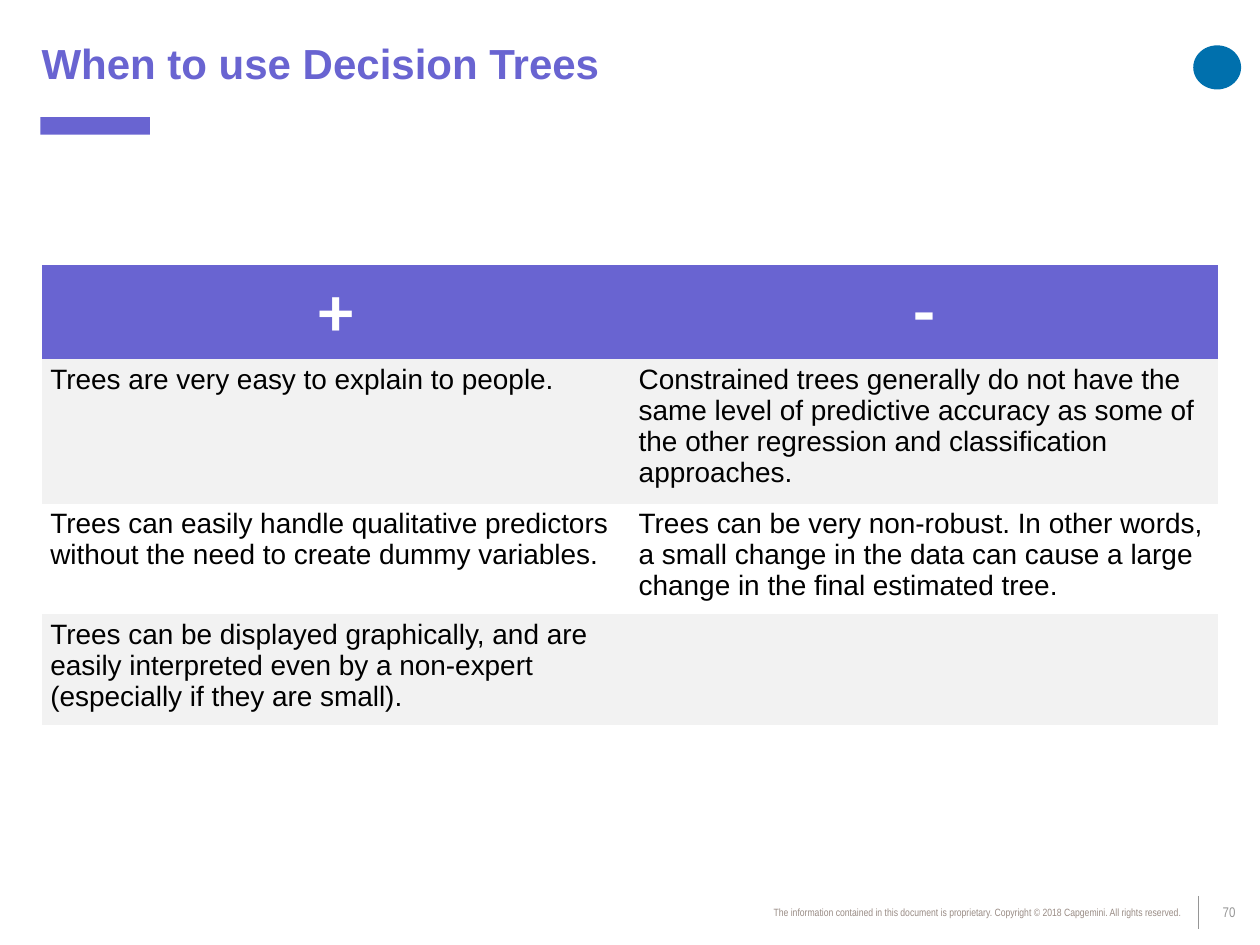
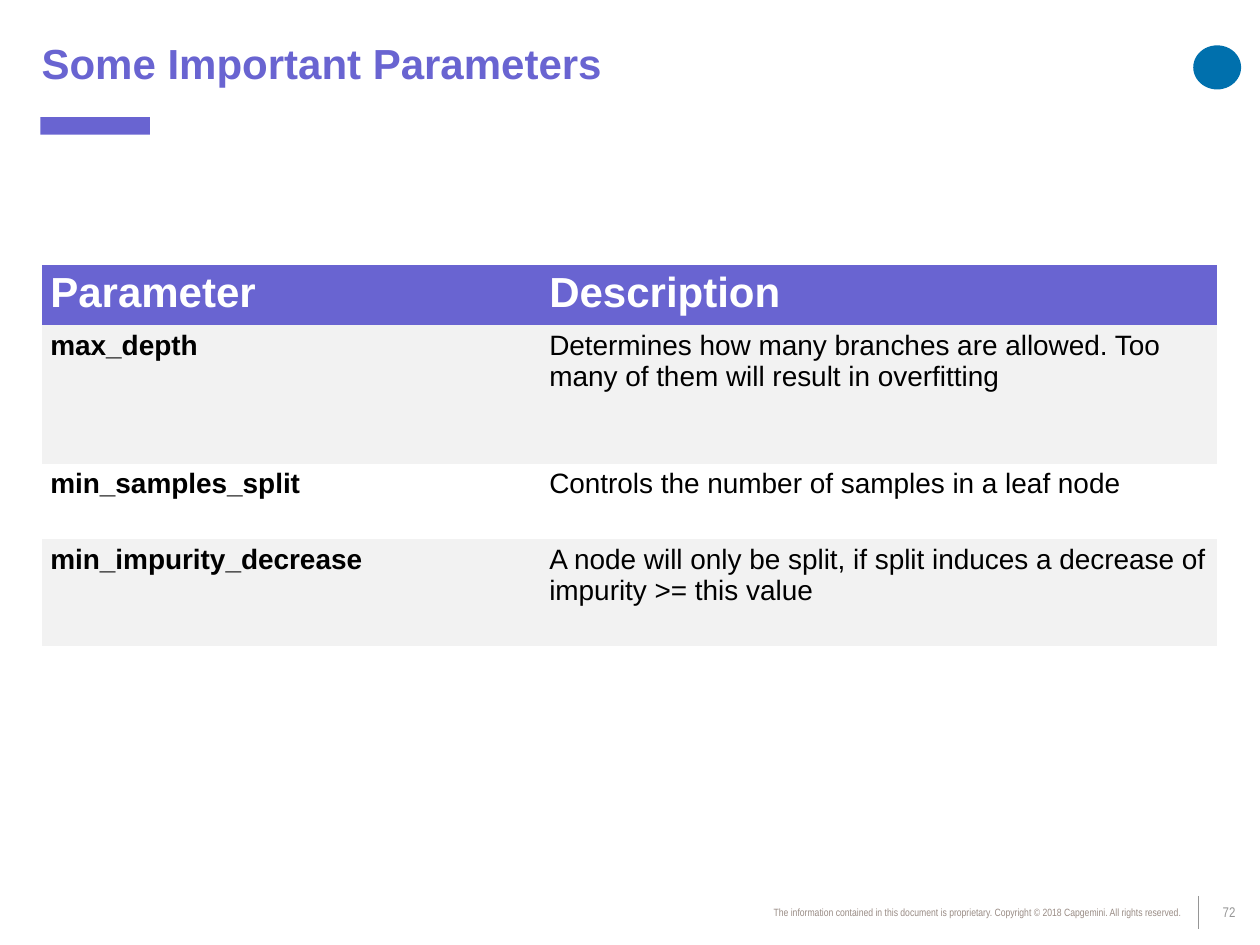
from dataclasses import dataclass

from lxml import etree
from pptx import Presentation
from pptx.dml.color import RGBColor
from pptx.enum.shapes import MSO_CONNECTOR, MSO_SHAPE
from pptx.enum.text import MSO_ANCHOR, PP_ALIGN
from pptx.oxml.ns import qn
from pptx.util import Inches, Pt

STRAIGHT = MSO_CONNECTOR.STRAIGHT
RECT, OVAL = MSO_SHAPE.RECTANGLE, MSO_SHAPE.OVAL
TOP, MIDDLE = MSO_ANCHOR.TOP, MSO_ANCHOR.MIDDLE
LEFT, CENTER, RIGHT = PP_ALIGN.LEFT, PP_ALIGN.CENTER, PP_ALIGN.RIGHT
PLAIN_TABLE = "{2D5ABB26-0587-4C30-8999-92F81FD0307C}"
COPYRIGHT = ("The information contained in this document\u00a0is proprietary. "
             "Copyright © 2018 Capgemini. All rights reserved.")


@dataclass(frozen=True)
class Theme:
    """Colours, fonts and type sizes of the deck."""
    accent: str = "6964D1"
    band: str = "F2F2F2"
    text: str = "000000"
    white: str = "FFFFFF"
    number: str = "969696"
    legal: str = "998C85"
    mark: str = "0070AD"
    font: str = "Arial"
    narrow: str = "Arial Narrow"
    symbol: str = "Calibri"
    title_size: int = 24
    symbol_size: int = 40
    body_size: int = 16
    number_size: int = 8
    legal_size: int = 6


THEME = Theme()


@dataclass(frozen=True)
class Style:
    """Look of one run of text and its paragraph."""
    size: int
    color: str
    font: str = THEME.font
    bold: bool = False
    align: PP_ALIGN = LEFT
    spacing: float = 1.0


TITLE = Style(THEME.title_size, THEME.accent, bold=True)
HEADING = Style(THEME.title_size, THEME.white, bold=True)
SIGN = Style(THEME.symbol_size, THEME.white, THEME.symbol, True, CENTER)
BODY = Style(THEME.body_size, THEME.text)
TERM = Style(THEME.body_size, THEME.text, bold=True)
NUMBER = Style(THEME.number_size, THEME.number, THEME.narrow, False, CENTER, 0.85)
LEGAL = Style(THEME.legal_size, THEME.legal, THEME.narrow, False, RIGHT, 0.85)


def rgb(color):
    """Turn a hex string into a colour."""
    return RGBColor.from_string(color)


def write(tf, text, style):
    """Write one styled run in the first paragraph of a text frame."""
    p = tf.paragraphs[0]
    p.alignment = style.align
    p.line_spacing = style.spacing
    r = p.add_run()
    r.text = text
    r.font.name = style.font
    r.font.size = Pt(style.size)
    r.font.bold = style.bold
    r.font.color.rgb = rgb(style.color)


def add_text(s, box, text, style, anchor=TOP, insets=(0.1, 0.05, 0.1, 0.05)):
    """Add a wrapped text box."""
    tf = s.shapes.add_textbox(*map(Inches, box)).text_frame
    tf.word_wrap = True
    tf.vertical_anchor = anchor
    (tf.margin_left, tf.margin_top,
     tf.margin_right, tf.margin_bottom) = map(Inches, insets)
    write(tf, text, style)


def add_block(s, kind, box, color):
    """Add a flat shape without an outline."""
    sp = s.shapes.add_shape(kind, *map(Inches, box))
    sp.shadow.inherit = False
    sp.fill.solid()
    sp.fill.fore_color.rgb = rgb(color)
    sp.line.fill.background()


def add_rule(s, x, top, bottom):
    """Add the thin vertical line beside the slide number."""
    line = s.shapes.add_connector(
        STRAIGHT, Inches(x), Inches(top), Inches(x), Inches(bottom))
    line.line.color.rgb = rgb(THEME.number)
    line.line.width = Pt(0.75)
    etree.SubElement(line._element.spPr, qn("a:effectLst"))


def fill_cell(cell, text, style, color):
    """Set the margins, fill and text of a table cell."""
    cell.margin_left = cell.margin_right = Inches(0.07)
    cell.margin_top = cell.margin_bottom = Inches(0.04)
    if color:
        cell.fill.solid()
        cell.fill.fore_color.rgb = rgb(color)
    else:
        cell.fill.background()
    if text:
        write(cell.text_frame, text, style)


def add_banded_table(s, rows, widths, heights, header, columns):
    """Add a table with an accent header and every other row banded."""
    box = (0.33, 2.1, sum(widths), sum(heights))
    table = s.shapes.add_table(len(rows), len(widths), *map(Inches, box)).table
    table._tbl.tblPr.find(qn("a:tableStyleId")).text = PLAIN_TABLE
    table.horz_banding = False
    for column, width in zip(table.columns, widths):
        column.width = Inches(width)
    for i, (texts, height) in enumerate(zip(rows, heights)):
        table.rows[i].height = Inches(height)
        color = THEME.accent if i == 0 else THEME.band if i % 2 and any(texts) else None
        for j, text in enumerate(texts):
            fill_cell(table.cell(i, j), text, columns[j] if i else header, color)


def add_page(prs, title, number):
    """Add a slide with the shared title, accent bar, mark and footer."""
    s = prs.slides.add_slide(prs.slide_layouts[6])
    add_rule(s, 9.51, 7.11, 7.37)
    add_text(s, (9.51, 7.11, 0.49, 0.27), number, NUMBER, MIDDLE)
    add_text(s, (4.49, 7.16, 4.98, 0.19), COPYRIGHT, LEGAL)
    add_block(s, OVAL, (9.47, 0.36, 0.38, 0.35), THEME.mark)
    add_block(s, RECT, (0.32, 0.93, 0.87, 0.14), THEME.accent)
    add_text(s, (0, 0.02, 8.98, 0.95), title, TITLE, MIDDLE, (0.33, 0.04, 0.18, 0.04))
    return s


def main():
    """Build the deck."""
    prs = Presentation()
    prs.slide_width, prs.slide_height = Inches(10), Inches(7.5)

    s = add_page(prs, "When to use Decision Trees", "70")
    pros_and_cons = [
        ("+", "-"),
        ("Trees are very easy to explain to people.",
         "Constrained trees generally do not have the same level of predictive "
         "accuracy as some of the other regression and classification approaches."),
        ("Trees can easily handle qualitative predictors without the need to "
         "create dummy variables.",
         "Trees can be very non-robust. In other words, a small change in the "
         "data can cause a large change in the final estimated tree."),
        ("Trees can be displayed graphically, and are easily interpreted even "
         "by a non-expert (especially if they are small).", ""),
        ("", ""),
    ]
    add_banded_table(s, pros_and_cons, (4.67, 4.67), (0.75, 1.13, 0.88, 0.87, 0.35),
                     SIGN, (BODY, BODY))

    s = add_page(prs, "Some Important Parameters", "72")
    parameters = [
        ("Parameter", "Description"),
        ("max_depth",
         "Determines how many branches are allowed. Too many of them will "
         "result in overfitting"),
        ("min_samples_split", "Controls the number of samples in a leaf node"),
        ("min_impurity_decrease",
         "A node will only be split, if split induces a decrease of impurity "
         ">= this value"),
    ]
    add_banded_table(s, parameters, (3.96, 5.37), (0.48, 1.1, 0.6, 0.85),
                     HEADING, (TERM, BODY))

    prs.save("out.pptx")


if __name__ == "__main__":
    main()
